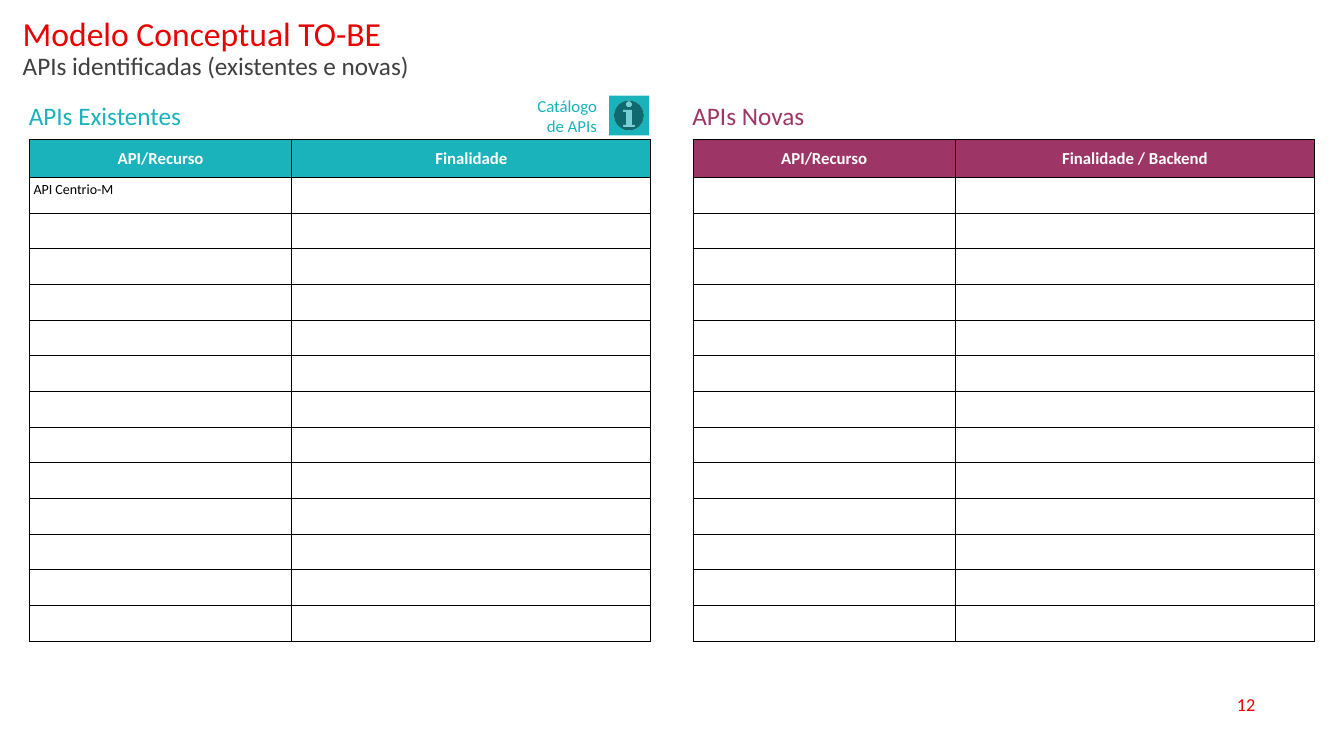
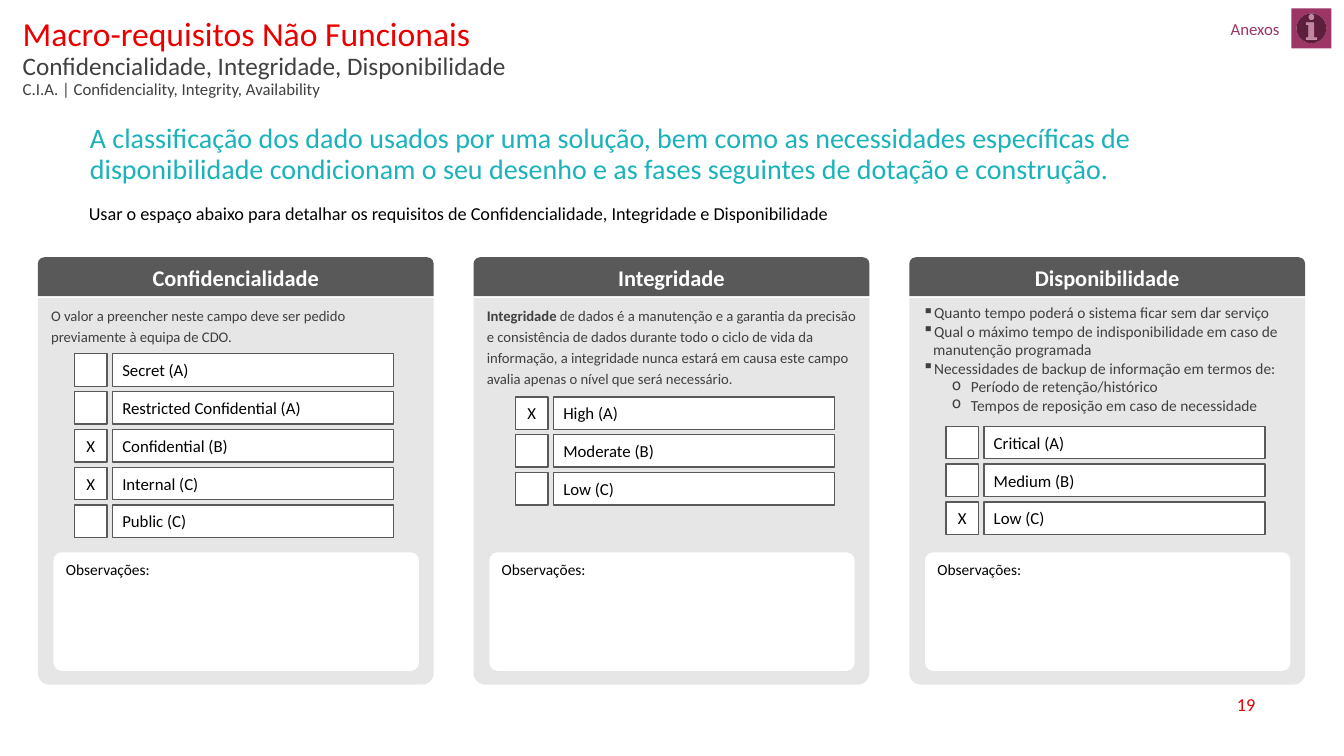
from lxml.etree import SubElement
from pptx import Presentation
from pptx.dml.color import RGBColor
from pptx.enum.shapes import MSO_SHAPE
from pptx.enum.text import MSO_ANCHOR, MSO_AUTO_SIZE, PP_ALIGN
from pptx.oxml.ns import qn
from pptx.util import Pt

PX = 9525
WIDTH, HEIGHT = 1280, 720

RED = RGBColor(0xEB, 0x00, 0x00)
TEAL = RGBColor(0x1A, 0xB2, 0xBB)
PLUM = RGBColor(0x9D, 0x35, 0x66)
CHARCOAL = RGBColor(0x40, 0x40, 0x40)
GREY = RGBColor(0x59, 0x59, 0x59)
PALE = RGBColor(0xE7, 0xE6, 0xE6)
WHITE = RGBColor(0xFF, 0xFF, 0xFF)
BLACK = RGBColor(0x00, 0x00, 0x00)

BODY_ROWS = 13
PANEL_LEFT, PANEL_PITCH, PANEL_WIDTH = 36, 415, 377
OPTION_PITCH, OPTION_HEIGHT = 36, 31
# Left margin, hanging indent and character of each list level
BULLETS = [(10, 10, "▪"), (46, 18, "o")]


def px(*lengths):
    return [length * PX for length in lengths]


def style(size, color, **extra):
    return {"name": "Calibri", "size": Pt(size), "color": color, **extra}


class Deck:
    """Holds the presentation, its shared style and the current slide."""

    def __init__(self):
        self.presentation = Presentation()
        self.presentation.slide_width, self.presentation.slide_height = px(WIDTH, HEIGHT)
        self.slide = None

    def add_slide(self, layout, number, heading):
        """Start a slide; heading lines shrink from title to subtitle sizes."""
        layouts = self.presentation.slide_layouts
        self.slide = self.presentation.slides.add_slide(layouts.get_by_name(layout))
        styles = [style(24, RED), style(18, CHARCOAL), style(12, CHARCOAL)]
        lines = [[(line, look)] for line, look in zip(heading, styles)]
        self.placeholder(0, (12, 12, 1130, 76), lines, {})
        self.label((917, 652, 288, 38), str(number), style(13, RED),
                   align=PP_ALIGN.RIGHT, anchor=MSO_ANCHOR.MIDDLE)

    def set_text(self, frame, paragraphs, font, align=PP_ALIGN.LEFT,
                 anchor=MSO_ANCHOR.TOP, spacing=1.0):
        """Fill a frame with paragraphs: strings or lists of (text, format) runs."""
        frame.word_wrap = True
        frame.vertical_anchor = anchor
        for index, content in enumerate(paragraphs):
            paragraph = frame.add_paragraph() if index else frame.paragraphs[0]
            layout = {"alignment": align, "line_spacing": spacing,
                      "space_before": Pt(0), "space_after": Pt(0)}
            for name, value in layout.items():
                setattr(paragraph, name, value)
            runs = [(content, {})] if isinstance(content, str) else content
            for text, changes in runs:
                run = paragraph.add_run()
                run.text = text
                for name, value in {**font, **changes}.items():
                    if name == "color":
                        run.font.color.rgb = value
                    else:
                        setattr(run.font, name, value)

    def placeholder(self, index, box, paragraphs, font):
        holder = self.slide.placeholders[index]
        holder.left, holder.top, holder.width, holder.height = px(*box)
        frame = holder.text_frame
        frame.auto_size = MSO_AUTO_SIZE.NONE
        self.set_text(frame, paragraphs, font, spacing=0.9)
        for paragraph in frame.paragraphs:
            self.indent(paragraph, 0, 0)

    def indent(self, paragraph, left, hanging, bullet=None):
        properties = paragraph._p.get_or_add_pPr()
        properties.set("marL", str(left * PX))
        properties.set("indent", str(-hanging * PX))
        if bullet:
            SubElement(properties, qn("a:buChar"), char=bullet)
        else:
            SubElement(properties, qn("a:buNone"))

    def label(self, box, text, font, **layout):
        textbox = self.slide.shapes.add_textbox(*px(*box))
        self.set_text(textbox.text_frame, [text], font, **layout)

    def block(self, kind, box, fill, line=None, corners=()):
        shape = self.slide.shapes.add_shape(kind, *px(*box))
        shape.shadow.inherit = False
        shape.fill.solid()
        shape.fill.fore_color.rgb = fill
        if line is None:
            shape.line.fill.background()
        else:
            shape.line.color.rgb = line
            shape.line.width = Pt(1)
        for index, corner in enumerate(corners):
            shape.adjustments[index] = corner
        return shape

    def info_button(self, left, top, text, color):
        self.block(MSO_SHAPE.ACTION_BUTTON_INFORMATION, (left, top, 38, 38), color)
        self.label((left - 82, top - 5, 80, 48), text, style(12, color),
                   align=PP_ALIGN.RIGHT, anchor=MSO_ANCHOR.MIDDLE)

    def api_table(self, left, title, headers, color, apis=()):
        self.label((left - 10, 91, 250, 38), title, style(18, color))
        widths, heights = (250, 342), [36] + [34] * BODY_ROWS
        frame = self.slide.shapes.add_table(
            len(heights), len(widths),
            *px(left, 133, sum(widths), sum(heights)))
        table = frame.table
        table.horz_banding = False
        for column, width in zip(table.columns, widths):
            column.width = width * PX
        for row, height in zip(table.rows, heights):
            row.height = height * PX
            for cell in row.cells:
                self.format_cell(cell)
        for cell, header in zip(table.rows[0].cells, headers):
            cell.fill.solid()
            cell.fill.fore_color.rgb = color
            cell.vertical_anchor = MSO_ANCHOR.MIDDLE
            self.set_text(cell.text_frame, [header], style(12, WHITE, bold=True),
                          align=PP_ALIGN.CENTER, anchor=MSO_ANCHOR.MIDDLE)
        for index, api in enumerate(apis, 1):
            self.set_text(table.cell(index, 0).text_frame, [api], style(10, BLACK))
        for row in table.rows:
            for cell in row.cells:
                SubElement(cell.text_frame.paragraphs[0]._p, qn("a:endParaRPr"), sz="1000")

    def format_cell(self, cell):
        """Give a cell narrow margins, thin black borders and no fill."""
        for side in ("left", "right", "top", "bottom"):
            setattr(cell, f"margin_{side}", 4 * PX)
        properties = cell._tc.get_or_add_tcPr()
        for edge in "LRTB":
            border = SubElement(properties, qn(f"a:ln{edge}"), w=str(int(Pt(0.75))))
            fill = SubElement(border, qn("a:solidFill"))
            SubElement(fill, qn("a:srgbClr"), val=str(BLACK))
        cell.fill.background()

    def panel(self, left, title):
        """Draw a titled panel with its notes box and return its text frame."""
        body = self.block(MSO_SHAPE.ROUND_2_SAME_RECTANGLE,
                          (left, 284, PANEL_WIDTH, 368), PALE, corners=(0, 0.03))
        header = self.block(MSO_SHAPE.ROUND_2_SAME_RECTANGLE,
                            (left, 245, PANEL_WIDTH, 37), GREY)
        self.set_text(header.text_frame, [title], style(16, WHITE, bold=True),
                      align=PP_ALIGN.CENTER, anchor=MSO_ANCHOR.MIDDLE)
        notes = self.block(MSO_SHAPE.ROUNDED_RECTANGLE, (left + 15, 526, 348, 113),
                           WHITE, corners=(0.07,))
        self.set_text(notes.text_frame, ["Observações:"], style(11, BLACK))
        return body.text_frame

    def options(self, left, top, levels, chosen):
        for index, level in enumerate(levels):
            y = top + index * OPTION_PITCH
            mark = "X" if level in chosen else ""
            for x, width, text, align in (
                    (left, OPTION_HEIGHT, mark, PP_ALIGN.CENTER),
                    (left + OPTION_PITCH, 268, level, PP_ALIGN.LEFT)):
                box = self.block(MSO_SHAPE.RECTANGLE, (x, y, width, OPTION_HEIGHT),
                                 WHITE, line=GREY)
                if text:
                    self.set_text(box.text_frame, [text], style(12, BLACK),
                                  align=align, anchor=MSO_ANCHOR.MIDDLE)


def add_api_slide(deck):
    deck.add_slide("Title Only", 12, [
        "Modelo Conceptual TO-BE", "APIs identificadas (existentes e novas)"])
    deck.api_table(28, "APIs Existentes", ("API/Recurso", "Finalidade"), TEAL,
                   apis=["API Centrio-M"])
    deck.api_table(660, "APIs Novas", ("API/Recurso", "Finalidade / Backend"), PLUM)
    deck.info_button(580, 91, "Catálogo de APIs", TEAL)


def add_requirements_slide(deck):
    deck.add_slide("Two Content", 19, [
        "Macro-requisitos Não Funcionais",
        "Confidencialidade, Integridade, Disponibilidade",
        "C.I.A. | Confidenciality, Integrity, Availability"])
    deck.placeholder(1, (76, 114, 1130, 70), [
        "A classificação dos dado usados por uma solução, bem como as necessidades "
        "específicas de disponibilidade condicionam o seu desenho e as fases "
        "seguintes de dotação e construção."], style(20, TEAL))
    deck.placeholder(2, (75, 190, 1130, 42), [
        "Usar o espaço abaixo para detalhar os requisitos de Confidencialidade, "
        "Integridade e Disponibilidade"], style(13, BLACK))

    confidentiality, integrity, availability = [
        PANEL_LEFT + index * PANEL_PITCH for index in range(3)]
    explanation = style(10.5, CHARCOAL)

    frame = deck.panel(confidentiality, "Confidencialidade")
    deck.set_text(frame, [
        "O valor a preencher neste campo deve ser pedido previamente à equipa de CDO."],
        explanation, spacing=1.2)
    deck.options(confidentiality + 35, 337, [
        "Secret (A)", "Restricted Confidential (A)", "Confidential (B)",
        "Internal (C)", "Public (C)"], {"Confidential (B)", "Internal (C)"})

    frame = deck.panel(integrity, "Integridade")
    deck.set_text(frame, [[
        ("Integridade", {"bold": True}),
        (" de dados é a manutenção e a garantia da precisão e consistência de dados "
         "durante todo o ciclo de vida da informação, a integridade nunca estará em "
         "causa este campo avalia apenas o nível que será necessário.", {})]],
        explanation, spacing=1.2)
    deck.options(integrity + 40, 378, ["High (A)", "Moderate (B)", "Low (C)"],
                 {"High (A)"})

    frame = deck.panel(availability, "Disponibilidade")
    questions = [
        (0, "Quanto tempo poderá o sistema ficar sem dar serviço"),
        (0, "Qual o máximo tempo de indisponibilidade em caso de manutenção programada"),
        (0, "Necessidades de backup de informação em termos de:"),
        (1, "Período de retenção/histórico"),
        (1, "Tempos de reposição em caso de necessidade")]
    deck.set_text(frame, [question for _, question in questions], style(11, CHARCOAL))
    for paragraph, (level, _) in zip(frame.paragraphs, questions):
        paragraph.level = level + 1
        deck.indent(paragraph, *BULLETS[level])
    deck.options(availability + 35, 406, ["Critical (A)", "Medium (B)", "Low (C)"],
                 {"Low (C)"})

    deck.info_button(1230, 8, "Anexos", PLUM)


def main():
    deck = Deck()
    add_api_slide(deck)
    add_requirements_slide(deck)
    deck.presentation.save("out.pptx")


if __name__ == "__main__":
    main()
